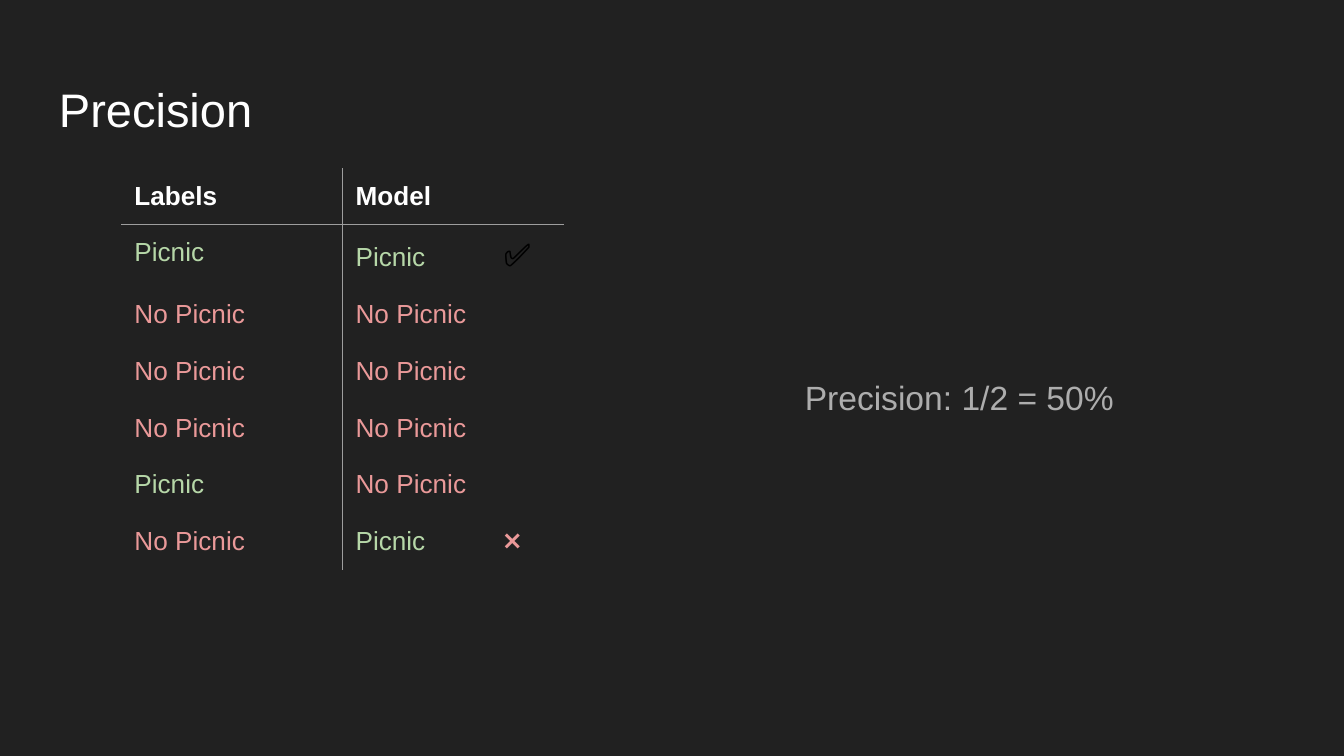
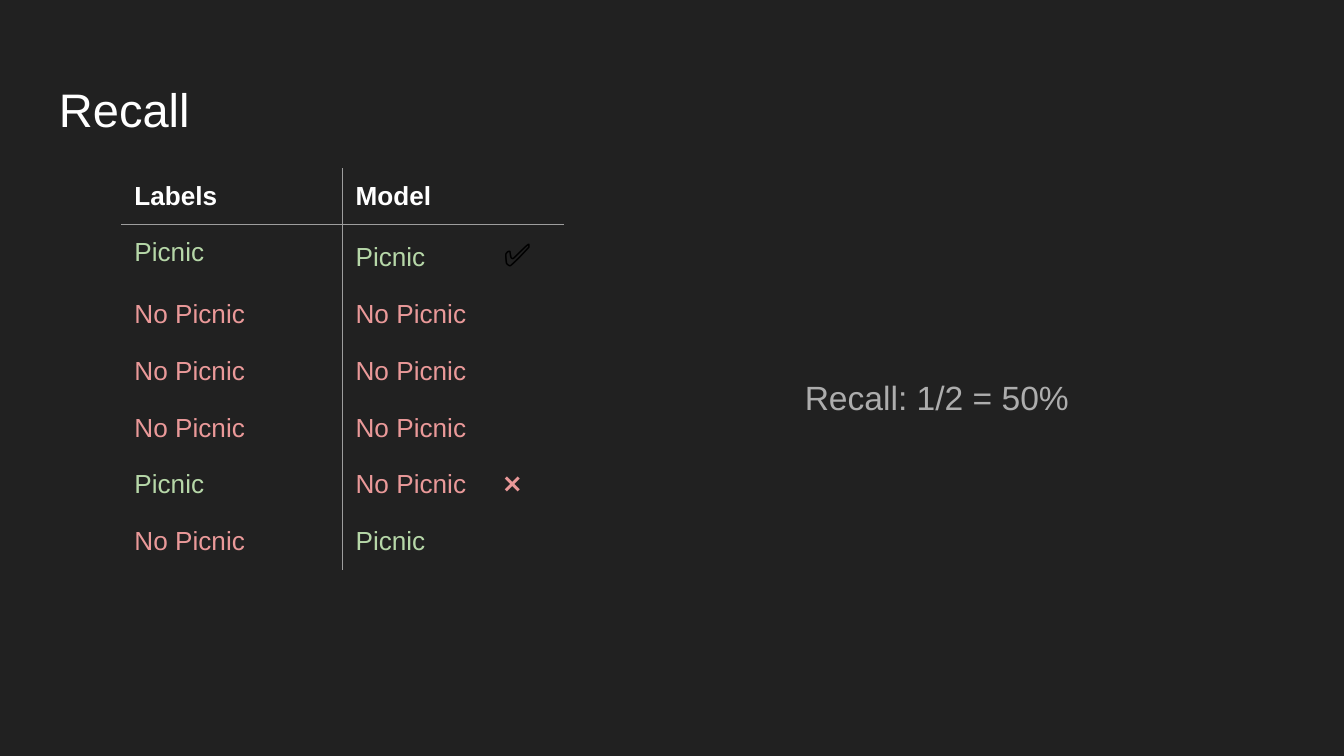
import pptx
import pptx.dml.color
import pptx.enum.text
import pptx.oxml
import pptx.oxml.ns
import pptx.util
from pptx.util import Cm

RGBColor = pptx.dml.color.RGBColor
DARK = RGBColor(0x21, 0x21, 0x21)
WHITE = RGBColor(0xFF, 0xFF, 0xFF)
BLACK = RGBColor(0, 0, 0)
GREY = RGBColor(0xAD, 0xAD, 0xAD)
LINE = RGBColor(0x9E, 0x9E, 0x9E)
GREEN = RGBColor(0xB6, 0xD7, 0xA8)
RED = RGBColor(0xEA, 0x99, 0x99)
PAD = Cm(0.25)
TAB = Cm(2.8)

LABELS = ["Picnic", "No Picnic", "No Picnic", "No Picnic", "Picnic", "No Picnic"]
MODEL = ["Picnic", "No Picnic", "No Picnic", "No Picnic", "No Picnic", "Picnic"]
ROWS = [("Labels", "Model"), *zip(LABELS, MODEL)]
TONES = {"Picnic": GREEN, "No Picnic": RED}

# Title, result and the marks by table row
SLIDES = [
    ("Precision", "Precision: 1/2 = 50%", {1: "✅", 6: "❌"}),
    ("Recall", "Recall: 1/2 = 50%", {1: "✅", 5: "❌"}),
]


def style(run, size, tone, bold=False):
    run.font.name = "Arial"
    run.font.size = pptx.util.Pt(size)
    run.font.bold = bold
    run.font.color.rgb = tone


def edge(cell, drawn):
    """Draw the named sides of a cell and clear the others."""
    props = cell._tc.get_or_add_tcPr()
    for spot, side in enumerate("LRTB"):
        fill = f'<a:solidFill><a:srgbClr val="{LINE}"/></a:solidFill>' if side in drawn else "<a:noFill/>"
        props.insert(spot, pptx.oxml.parse_xml(
            f'<a:ln{side} {pptx.oxml.ns.nsdecls("a")} w="9525">{fill}</a:ln{side}>'))


deck = pptx.Presentation()
deck.slide_width, deck.slide_height = Cm(25.4), Cm(14.29)
ground = deck.slide_master.background.fill
ground.solid()
ground.fore_color.rgb = DARK

for name, result, marks in SLIDES:
    slide = deck.slides.add_slide(deck.slide_layouts[5])

    # Title
    title = slide.shapes.title
    title.left, title.top, title.width, title.height = Cm(0.86), Cm(1.25), Cm(23.68), Cm(1.6)
    title.text_frame.text = name
    title.text_frame.vertical_anchor = pptx.enum.text.MSO_ANCHOR.MIDDLE
    title.text_frame.paragraphs[0].alignment = pptx.enum.text.PP_ALIGN.LEFT
    style(title.text_frame.paragraphs[0].runs[0], 25.2, WHITE)

    # Table of labels and model output
    table = slide.shapes.add_table(len(ROWS), 2, Cm(2.29), Cm(3.18), Cm(8.36), Cm(7.49)).table
    table.first_row = table.horz_banding = False
    for col in table.columns:
        col.width = Cm(4.18)
    for r, words in enumerate(ROWS):
        table.rows[r].height = Cm(1.07)
        for c, word in enumerate(words):
            cell = table.cell(r, c)
            cell.margin_left = cell.margin_right = cell.margin_top = cell.margin_bottom = PAD
            cell.fill.background()
            edge(cell, "RL"[c] + {0: "B", 1: "T"}.get(r, ""))
            mark = marks.get(r) if c == 1 else None
            para = cell.text_frame.paragraphs[0]
            para.text = word + "\t" if mark else word
            style(para.runs[0], 14, TONES.get(word, WHITE), r == 0)
            if mark:
                para._p.get_or_add_pPr().append(pptx.oxml.parse_xml(
                    f'<a:tabLst {pptx.oxml.ns.nsdecls("a")}><a:tab pos="{TAB}" algn="l"/></a:tabLst>'))
                run = para.add_run()
                run.text = mark
                if mark == "✅":
                    style(run, 17, BLACK, True)
                else:
                    style(run, 14, RED)

    # Result
    box = slide.shapes.add_textbox(Cm(14.96), Cm(6.76), Cm(10.49), Cm(1.52)).text_frame
    box.word_wrap = True
    box.margin_left = box.margin_right = box.margin_top = box.margin_bottom = PAD
    box.text = result
    box.paragraphs[0].line_spacing = 1.15
    style(box.paragraphs[0].runs[0], 18, GREY)

deck.save("out.pptx")
